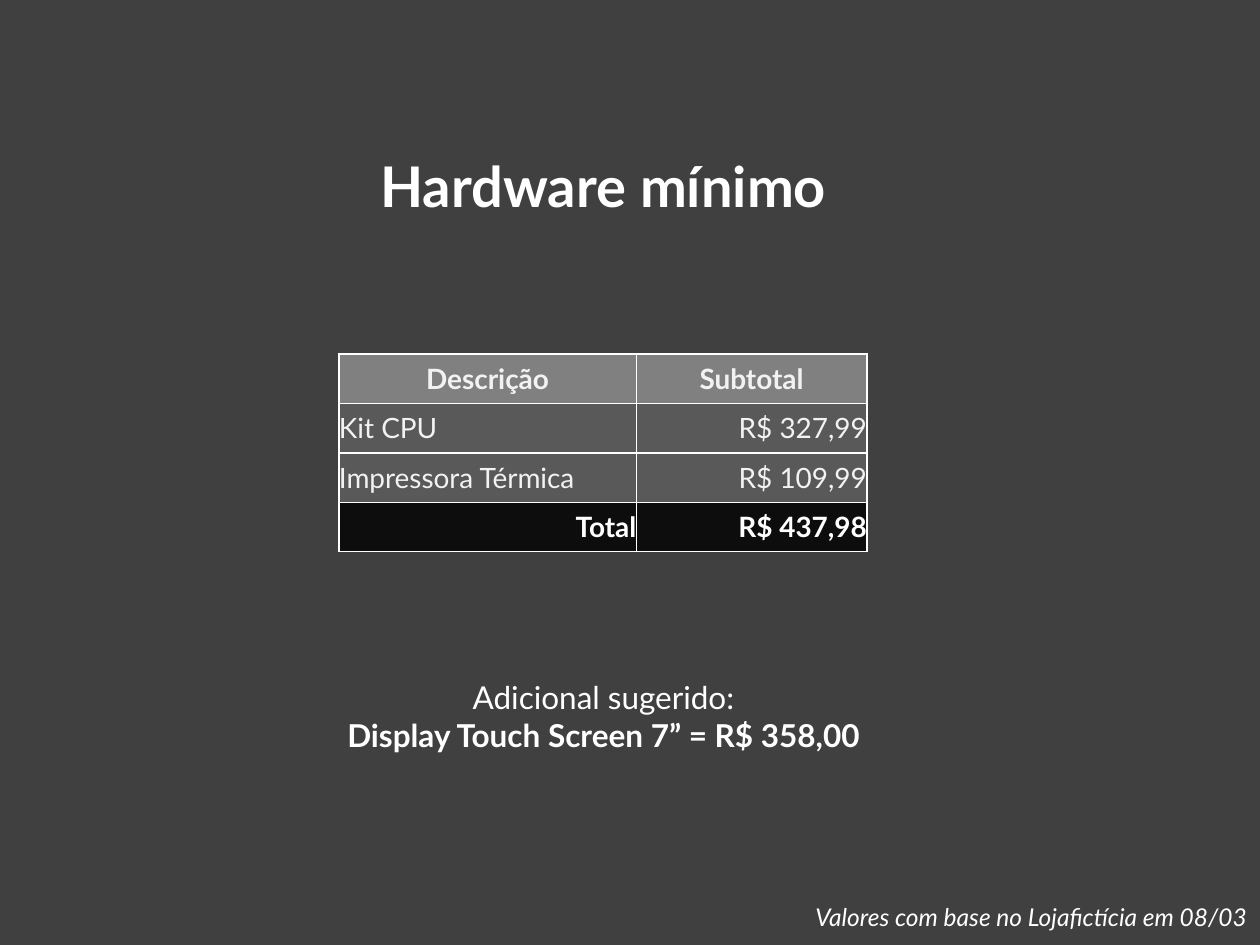
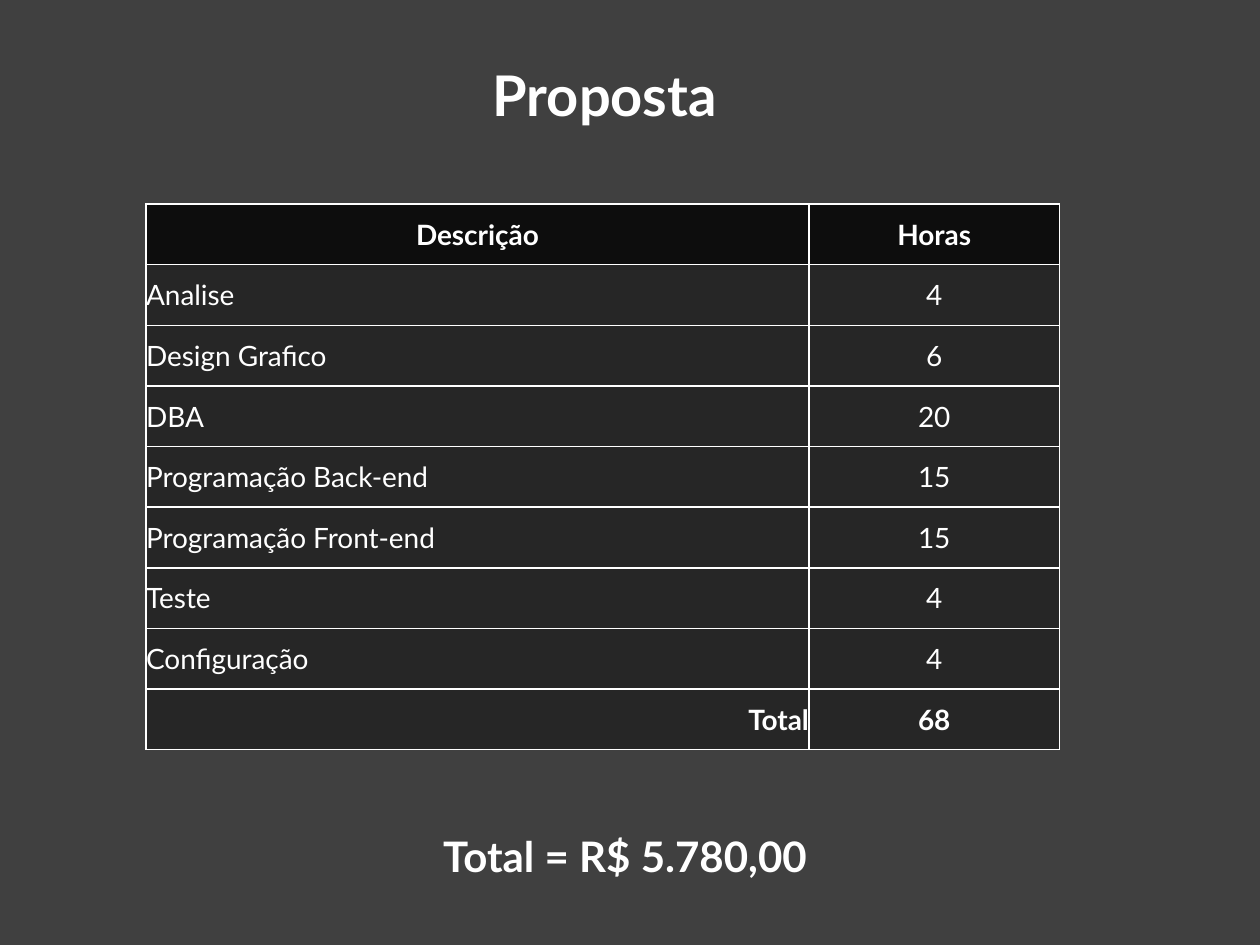
from lxml import etree
from pptx import Presentation
from pptx.dml.color import RGBColor
from pptx.enum.text import MSO_ANCHOR, MSO_AUTO_SIZE, PP_ALIGN
from pptx.oxml.ns import qn
from pptx.util import Pt

PX = 9144  # EMU in one px, 100 px to the inch
LEFT, CENTER, RIGHT = PP_ALIGN.LEFT, PP_ALIGN.CENTER, PP_ALIGN.RIGHT
MIDDLE = MSO_ANCHOR.MIDDLE
FIXED = MSO_AUTO_SIZE.NONE
TITLE_ONLY = 5
FONT = "Lato"
COLORS = {
    "background": "404040",
    "white": "FFFFFF",
    "soft white": "F2F2F2",
    "gray": "808080",
    "dark gray": "595959",
    "charcoal": "262626",
    "black": "0D0D0D",
}


def color(name):
    return RGBColor.from_string(COLORS[name])


class SlideBuilder:
    """Holds the shared style and the slide being built."""

    def __init__(self):
        self.deck = Presentation()
        self.deck.slide_width, self.deck.slide_height = 1000 * PX, 750 * PX
        fill = self.deck.slide_master.background.fill
        fill.solid()
        fill.fore_color.rgb = color("background")
        self.slide = None

    def new_slide(self, title, *area):
        self.slide = self.deck.slides.add_slide(self.deck.slide_layouts[TITLE_ONLY])
        box = self.slide.shapes.title
        box.left, box.top, box.width, box.height = [n * PX for n in area]
        frame = box.text_frame
        frame.text = title
        frame.word_wrap = False
        frame.auto_size = FIXED
        frame.vertical_anchor = MIDDLE
        self.format(frame.paragraphs[0], 32, bold=True, align=CENTER)

    def format(self, para, size, bold=False, italic=False, align=LEFT, ink="white"):
        para.alignment = align
        for span in para.runs:
            font = span.font
            font.name, font.size = FONT, Pt(size)
            font.bold, font.italic = bold, italic
            font.color.rgb = color(ink)

    def text(self, lines, area, size, align=CENTER, italic=False, wrap=False):
        """Add a text box; each line is a (words, bold) pair."""
        box = self.slide.shapes.add_textbox(*[n * PX for n in area])
        frame = box.text_frame
        frame.word_wrap = wrap
        frame.text = "\n".join(words for words, _ in lines)
        for para, (_, bold) in zip(frame.paragraphs, lines):
            self.format(para, size, bold, italic, align)

    def borders(self, cell):
        properties = cell._tc.get_or_add_tcPr()
        for side in ("lnL", "lnR", "lnT", "lnB"):
            line = etree.SubElement(properties, qn(f"a:{side}"), w=str(Pt(1)))
            fill = etree.SubElement(line, qn("a:solidFill"))
            etree.SubElement(fill, qn("a:srgbClr"), val=COLORS["white"])

    def table(self, rows, left, top, widths, height, number_align, fills, ink):
        """Add a table with a header and a total row; fills: header, body, total."""
        frame = self.slide.shapes.add_table(
            len(rows), len(widths), left * PX, top * PX, sum(widths) * PX, height * PX)
        table = frame.table
        table.first_row = table.horz_banding = False
        for column, width in zip(table.columns, widths):
            column.width = width * PX
        last = len(rows) - 1
        for r, row in enumerate(rows):
            part = 0 if r == 0 else 2 if r == last else 1
            label_align = (CENTER, LEFT, RIGHT)[part]
            value_align = CENTER if part == 0 else number_align
            for c, words in enumerate(row):
                cell = table.cell(r, c)
                cell.text = words
                cell.vertical_anchor = MIDDLE
                cell.margin_left = cell.margin_right = 0
                cell.margin_top = cell.margin_bottom = 0
                self.borders(cell)
                cell.fill.solid()
                cell.fill.fore_color.rgb = color(fills[part])
                self.format(cell.text_frame.paragraphs[0], 16, bold=part != 1,
                            align=value_align if c else label_align,
                            ink="white" if part == 2 else ink)


def main():
    builder = SlideBuilder()

    # Minimum hardware
    builder.new_slide("Hardware mínimo", 281, 115, 396, 64)
    hardware = [
        ("Descrição", "Subtotal"),
        ("Kit CPU", "R$ 327,99"),
        ("Impressora Térmica", "R$ 109,99"),
        ("Total", "R$ 437,98"),
    ]
    builder.table(hardware, 269, 281, (236, 183), 157, RIGHT,
                  ("gray", "dark gray", "black"), "soft white")
    builder.text([("Adicional sugerido:", False),
                  ("Display Touch Screen 7” = R$ 358,00", True)],
                 (254, 533, 450, 71), 18)
    builder.text([("Valores com base no Lojafictícia em 08/03", False)],
                 (500, 711, 500, 34), 14, RIGHT, italic=True, wrap=True)

    # Proposal
    builder.new_slide("Proposta", 373, 43, 214, 64)
    hours = [
        ("Descrição", "Horas"),
        ("Analise", "4"),
        ("Design Grafico", "6"),
        ("DBA", "20"),
        ("Programação Back-end", "15"),
        ("Programação Front-end", "15"),
        ("Teste", "4"),
        ("Configuração", "4"),
        ("Total", "68"),
    ]
    builder.table(hours, 116, 162, (526, 199), 433, CENTER,
                  ("black", "charcoal", "charcoal"), "white")
    builder.text([("Total = R$ 5.780,00", True)], (335, 654, 322, 50), 24)

    builder.deck.save("out.pptx")


if __name__ == "__main__":
    main()
